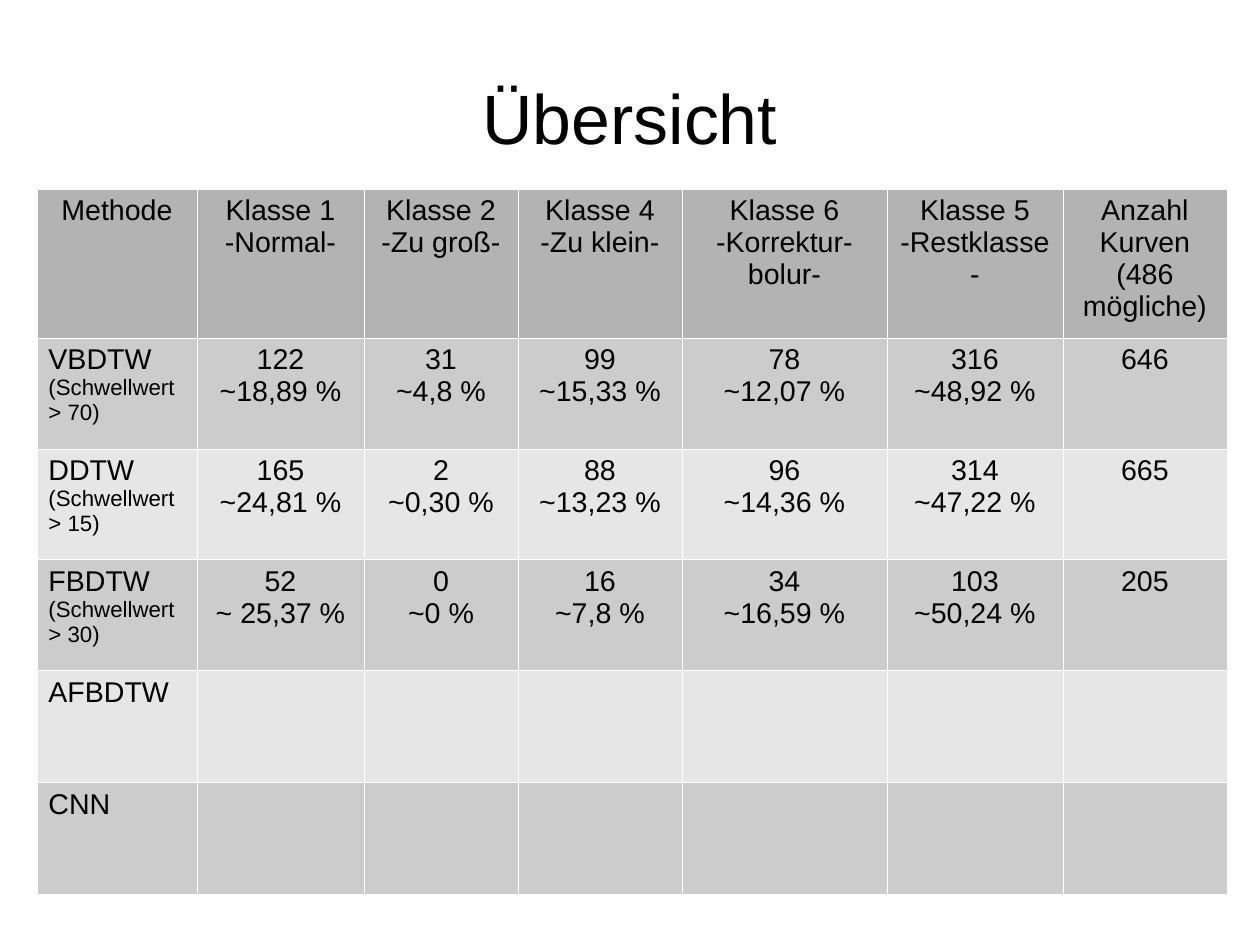
from lxml import etree
from pptx import Presentation
from pptx.dml.color import RGBColor
from pptx.enum.text import MSO_ANCHOR, PP_ALIGN
from pptx.oxml.ns import qn
from pptx.util import Pt

PX = 8000
BLANK_LAYOUT = 6
LEFT, CENTER = PP_ALIGN.LEFT, PP_ALIGN.CENTER
MIDDLE = MSO_ANCHOR.MIDDLE
BORDER_WIDTH = Pt(0.06)

TITLE_SIZE, BODY_SIZE, NOTE_SIZE = 44, 18, 14
BLACK, WHITE = "000000", "FFFFFF"
HEADER_FILL = "B3B3B3"
BAND_FILLS = ["CCCCCC", "E6E6E6"]

COLUMN_WIDTHS = [160, 167, 154, 164, 205, 176, 164]
ROW_HEIGHTS = [147, 111, 111, 111, 112, 112]

HEADER = [
    ["Methode"],
    ["Klasse 1", "-Normal-"],
    ["Klasse 2", "-Zu groß-"],
    ["Klasse 4", "-Zu klein-"],
    ["Klasse 6", "-Korrektur-bolur-"],
    ["Klasse 5", "-Restklasse-"],
    ["Anzahl", "Kurven", "(486 mögliche)"],
]
METHODS = [
    [["VBDTW", "(Schwellwert > 70)"], ["122", "~18,89 %"], ["31", "~4,8 %"],
     ["99", "~15,33 %"], ["78", "~12,07 %"], ["316", "~48,92 %"], ["646"]],
    [["DDTW", "(Schwellwert > 15)"], ["165", "~24,81 %"], ["2", "~0,30 %"],
     ["88", "~13,23 %"], ["96", "~14,36 %"], ["314", "~47,22 %"], ["665"]],
    [["FBDTW", "(Schwellwert > 30)"], ["52", "~ 25,37 %"], ["0", "~0 %"],
     ["16", "~7,8 %"], ["34", "~16,59 %"], ["103", "~50,24 %"], ["205"]],
    [["AFBDTW"]],
    [["CNN"]],
]


def px(length):
    return length * PX


def color(hex_value):
    return RGBColor.from_string(hex_value)


def set_values(target, values):
    for name, value in values.items():
        setattr(target, name, value)


def write_lines(frame, lines, sizes, align):
    for index, (line, size) in enumerate(zip(lines, sizes)):
        para = frame.paragraphs[0] if index == 0 else frame.add_paragraph()
        para.alignment = align
        span = para.add_run()
        span.text = line
        set_values(span.font, {"name": "Arial", "size": Pt(size), "bold": False})
        span.font.color.rgb = color(BLACK)


def add_title(page, text, left, top, width, height):
    box = page.shapes.add_textbox(px(left), px(top), px(width), px(height))
    frame = box.text_frame
    set_values(frame, {
        "word_wrap": True, "vertical_anchor": MIDDLE,
        "margin_left": 0, "margin_right": 0, "margin_top": 0, "margin_bottom": 0,
    })
    write_lines(frame, [text], [TITLE_SIZE], CENTER)


def add_borders(cell):
    properties = cell._tc.get_or_add_tcPr()
    for index, side in enumerate(["lnL", "lnR", "lnT", "lnB"]):
        line = etree.Element(qn(f"a:{side}"), w=str(BORDER_WIDTH))
        fill = etree.SubElement(line, qn("a:solidFill"))
        etree.SubElement(fill, qn("a:srgbClr"), val=WHITE)
        properties.insert(index, line)


def fill_cell(cell, lines, sizes, align, fill):
    cell.fill.solid()
    cell.fill.fore_color.rgb = color(fill)
    add_borders(cell)
    write_lines(cell.text_frame, lines, sizes, align)


def add_overview(page, left, top):
    table = page.shapes.add_table(
        len(ROW_HEIGHTS), len(COLUMN_WIDTHS), px(left), px(top),
        px(sum(COLUMN_WIDTHS)), px(sum(ROW_HEIGHTS))).table
    set_values(table, {"first_row": False, "horz_banding": False})
    for column, width in zip(table.columns, COLUMN_WIDTHS):
        column.width = px(width)
    for row, height in zip(table.rows, ROW_HEIGHTS):
        row.height = px(height)
    for row_index, entries in enumerate([HEADER] + METHODS):
        is_header = row_index == 0
        fill = HEADER_FILL if is_header else BAND_FILLS[(row_index - 1) % 2]
        for column_index in range(len(COLUMN_WIDTHS)):
            is_method = column_index == 0 and not is_header
            lines = entries[column_index] if column_index < len(entries) else []
            sizes = [BODY_SIZE, NOTE_SIZE] if is_method else [BODY_SIZE] * len(lines)
            align = LEFT if is_method else CENTER
            fill_cell(table.cell(row_index, column_index), lines, sizes, align, fill)


def main():
    deck = Presentation()
    set_values(deck, {"slide_width": px(1260), "slide_height": px(945)})
    page = deck.slides.add_slide(deck.slide_layouts[BLANK_LAYOUT])
    add_title(page, "Übersicht", 63, 38, 1134, 158)
    add_overview(page, 37, 189)
    deck.save("out.pptx")


if __name__ == "__main__":
    main()
